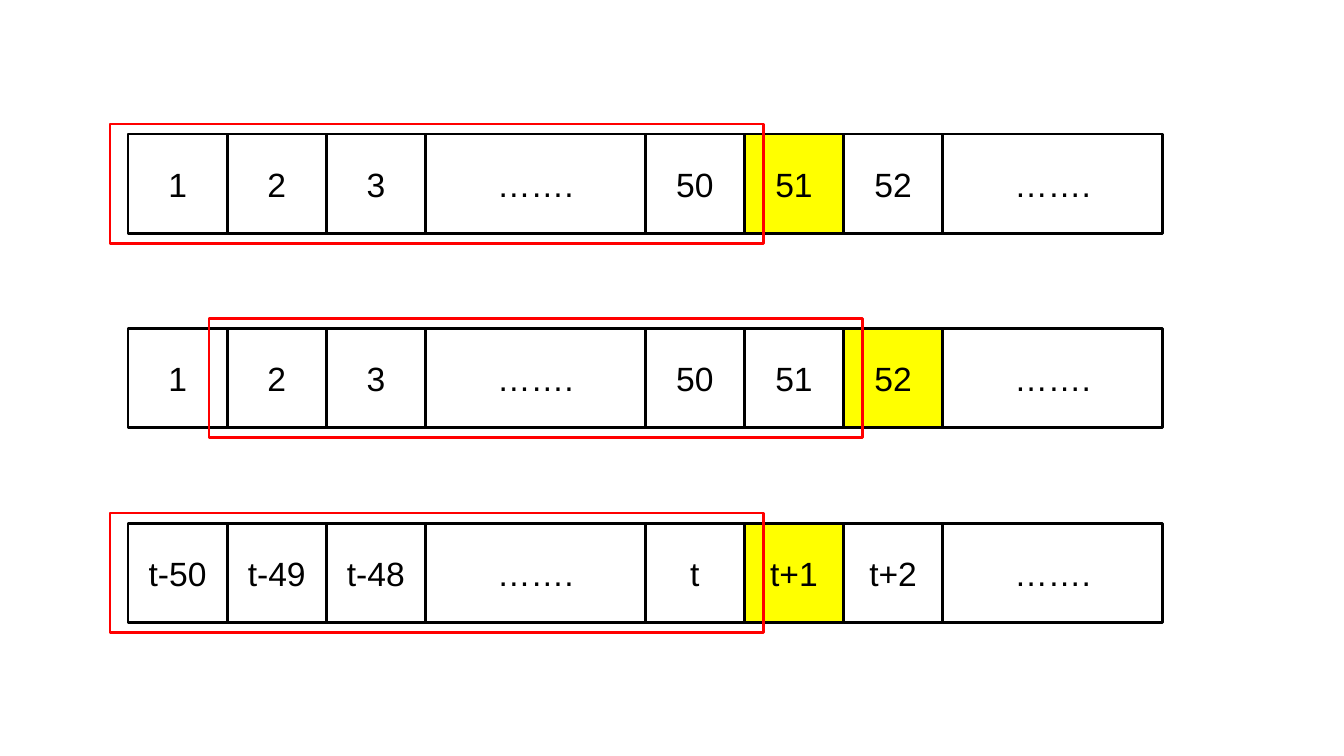
from itertools import accumulate

from pptx import Presentation
from pptx import util as u
from pptx.dml import color
from pptx.enum import shapes, text

CELL = 2.95 / 3  # three square cells span 2.95 inches
DOTS_WIDTH = 2.18
ROW_LEFT, ROW_TOP, ROW_PITCH = 1.27, 1.33, 1.93
WINDOW_WIDTH, WINDOW_MARGIN_X, WINDOW_MARGIN_Y = 6.48, 0.18, 0.1
DOTS = "……."

# Labels, highlighted label, number of cells the window has moved
ROWS = [
    (["1", "2", "3", DOTS, "50", "51", "52", DOTS], "51", 0),
    (["1", "2", "3", DOTS, "50", "51", "52", DOTS], "52", 1),
    (["t-50", "t-49", "t-48", DOTS, "t", "t+1", "t+2", DOTS], "t+1", 0),
]


def rgb(value):
    return color.RGBColor.from_string(value)


class SequenceSlide:
    ink = "000000"
    highlight = "FFFF00"
    window_color = "FF0000"
    line_width = u.Pt(2)
    font_format = {"name": "Arial", "size": u.Pt(24)}

    def __init__(self, presentation):
        self.slide = presentation.slides.add_slide(presentation.slide_layouts[6])

    def box(self, left, top, width, height, line, fill=None):
        shape = self.slide.shapes.add_shape(
            shapes.MSO_SHAPE.RECTANGLE,
            *(u.Inches(length) for length in (left, top, width, height)),
        )
        shape.shadow.inherit = False
        shape.line.color.rgb = rgb(line)
        shape.line.width = self.line_width
        if fill:
            shape.fill.solid()
            shape.fill.fore_color.rgb = rgb(fill)
        else:
            shape.fill.background()
        return shape

    def cell(self, left, top, width, label, fill=None):
        shape = self.box(left, top, width, CELL, self.ink, fill)
        shape.text_frame.vertical_anchor = text.MSO_ANCHOR.MIDDLE
        paragraph = shape.text_frame.paragraphs[0]
        paragraph.text = label
        paragraph.alignment = text.PP_ALIGN.CENTER
        for name, value in self.font_format.items():
            setattr(paragraph.font, name, value)
        paragraph.font.color.rgb = rgb(self.ink)

    def row(self, top, labels, highlighted):
        widths = [DOTS_WIDTH if label == DOTS else CELL for label in labels]
        lefts = accumulate(widths, initial=ROW_LEFT)
        for left, width, label in zip(lefts, widths, labels):
            fill = self.highlight if label == highlighted else None
            self.cell(left, top, width, label, fill)

    def window(self, row_top, shift):
        """Frame the cells of a row that are in the sliding window."""
        self.box(
            ROW_LEFT - WINDOW_MARGIN_X + shift * CELL,
            row_top - WINDOW_MARGIN_Y,
            WINDOW_WIDTH,
            CELL + 2 * WINDOW_MARGIN_Y,
            self.window_color,
        )


def main():
    presentation = Presentation()
    presentation.slide_width = u.Inches(13.33)
    presentation.slide_height = u.Inches(7.5)
    sequence = SequenceSlide(presentation)
    for index, (labels, highlighted, shift) in enumerate(ROWS):
        top = ROW_TOP + index * ROW_PITCH
        sequence.row(top, labels, highlighted)
        sequence.window(top, shift)
    presentation.save("out.pptx")


if __name__ == "__main__":
    main()
